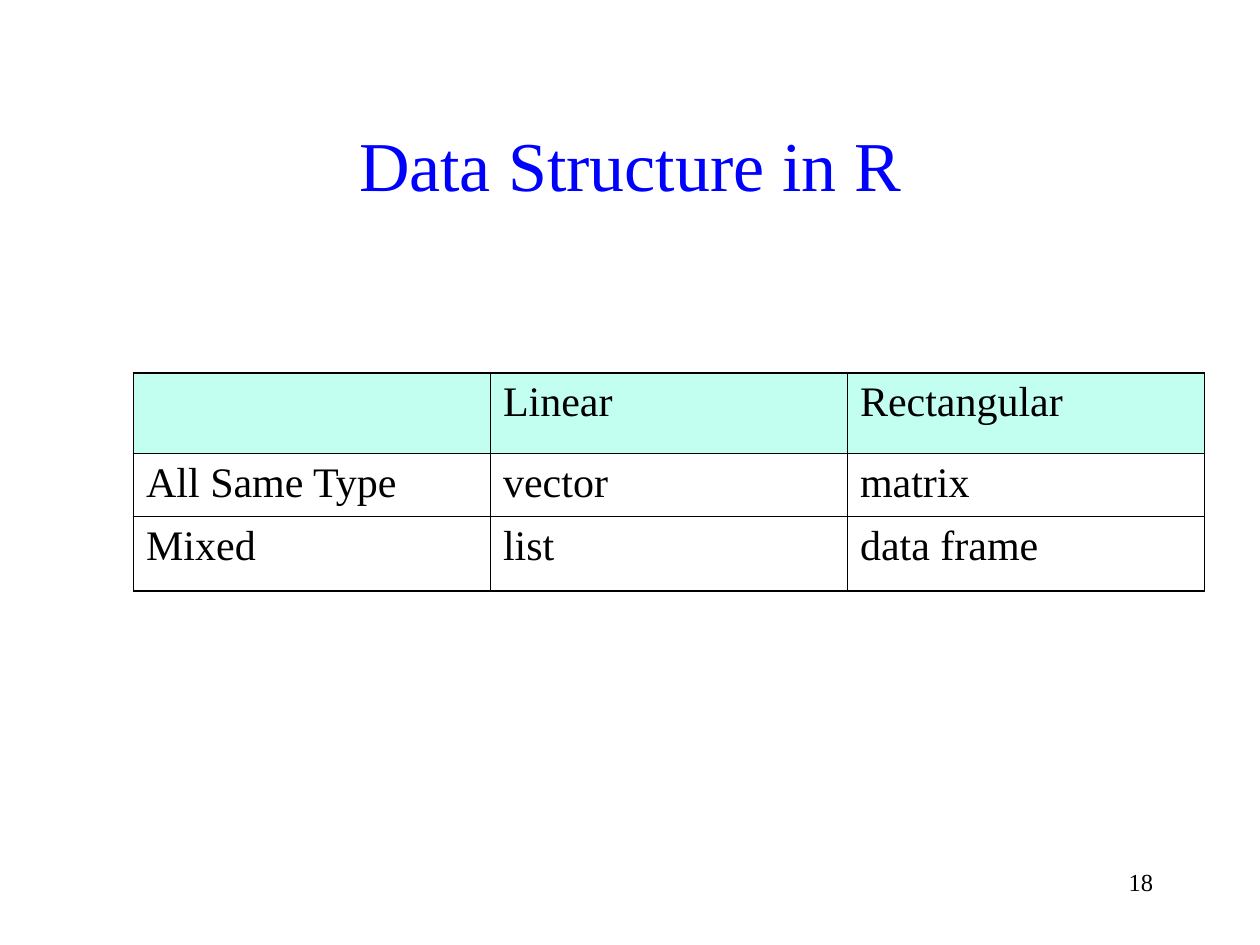
from lxml import etree
from pptx import Presentation
from pptx.dml.color import RGBColor
from pptx.enum import text
from pptx.oxml.ns import qn
from pptx.util import Inches, Pt

TITLE = "Data Structure in R"
ROWS = [
    ["", "Linear", "Rectangular"],
    ["All Same Type", "vector", "matrix"],
    ["Mixed", "list", "data frame"],
]
PAGE = "18"

ROW_HEIGHTS = [0.64, 0.5, 0.59]
TABLE_BOX = (1.06, 2.96, 8.5, sum(ROW_HEIGHTS))
TITLE_BOX = (0.75, 0.67, 8.5, 1.25)
PAGE_BOX = (7.17, 6.83, 2.08, 0.5)

THEME = {
    "font": "Times New Roman",
    "title": {"size": 40, "color": "0000FF"},
    "cell": {"size": 24, "color": "000000"},
    "page": {"size": 14, "color": "000000"},
    "header_fill": "C2FFF0",
    "border": "000000",
    "outer": 1.08,
    "inner": 0.45,
}


def box(values):
    return [Inches(v) for v in values]


def write(tf, words, style, **paragraph_format):
    p = tf.paragraphs[0]
    for name, value in paragraph_format.items():
        setattr(p, name, value)
    font = p.font
    if words:
        r = p.add_run()
        r.text = words
        font = r.font
    for name, value in {"name": THEME["font"], "size": Pt(style["size"])}.items():
        setattr(font, name, value)
    font.color.rgb = RGBColor.from_string(style["color"])


def set_borders(cell, widths):
    """Draw cell borders; lines must precede the fill in tcPr."""
    tc_pr = cell._tc.get_or_add_tcPr()
    for i, (side, width) in enumerate(widths.items()):
        ln = etree.Element(qn(f"a:ln{side}"), w=str(Pt(width)))
        fill = etree.SubElement(ln, qn("a:solidFill"))
        etree.SubElement(fill, qn("a:srgbClr"), val=THEME["border"])
        tc_pr.insert(i, ln)


def add_grid(slide):
    n_rows, n_cols = len(ROWS), len(ROWS[0])
    table = slide.shapes.add_table(n_rows, n_cols, *box(TABLE_BOX)).table
    table.first_row = table.horz_banding = False
    for row, height in zip(table.rows, ROW_HEIGHTS):
        row.height = Inches(height)
    for i, row in enumerate(ROWS):
        for j, words in enumerate(row):
            cell = table.cell(i, j)
            write(cell.text_frame, words, THEME["cell"], space_before=Pt(6))
            if i == 0:
                cell.fill.solid()
                cell.fill.fore_color.rgb = RGBColor.from_string(THEME["header_fill"])
            else:
                cell.fill.background()
            on_edge = {"L": j == 0, "R": j == n_cols - 1,
                       "T": i == 0, "B": i == n_rows - 1}
            set_borders(cell, {side: THEME["outer" if edge else "inner"]
                               for side, edge in on_edge.items()})


def main():
    prs = Presentation()
    prs.slide_width, prs.slide_height = Inches(10), Inches(7.5)
    slide = prs.slides.add_slide(prs.slide_layouts[5])

    title = slide.shapes.title
    title.left, title.top, title.width, title.height = box(TITLE_BOX)
    title.text_frame.vertical_anchor = text.MSO_ANCHOR.MIDDLE
    write(title.text_frame, TITLE, THEME["title"], alignment=text.PP_ALIGN.CENTER)

    add_grid(slide)

    page = slide.shapes.add_textbox(*box(PAGE_BOX))
    page.text_frame.word_wrap = True
    write(page.text_frame, PAGE, THEME["page"], alignment=text.PP_ALIGN.RIGHT)

    prs.save("out.pptx")


if __name__ == "__main__":
    main()
